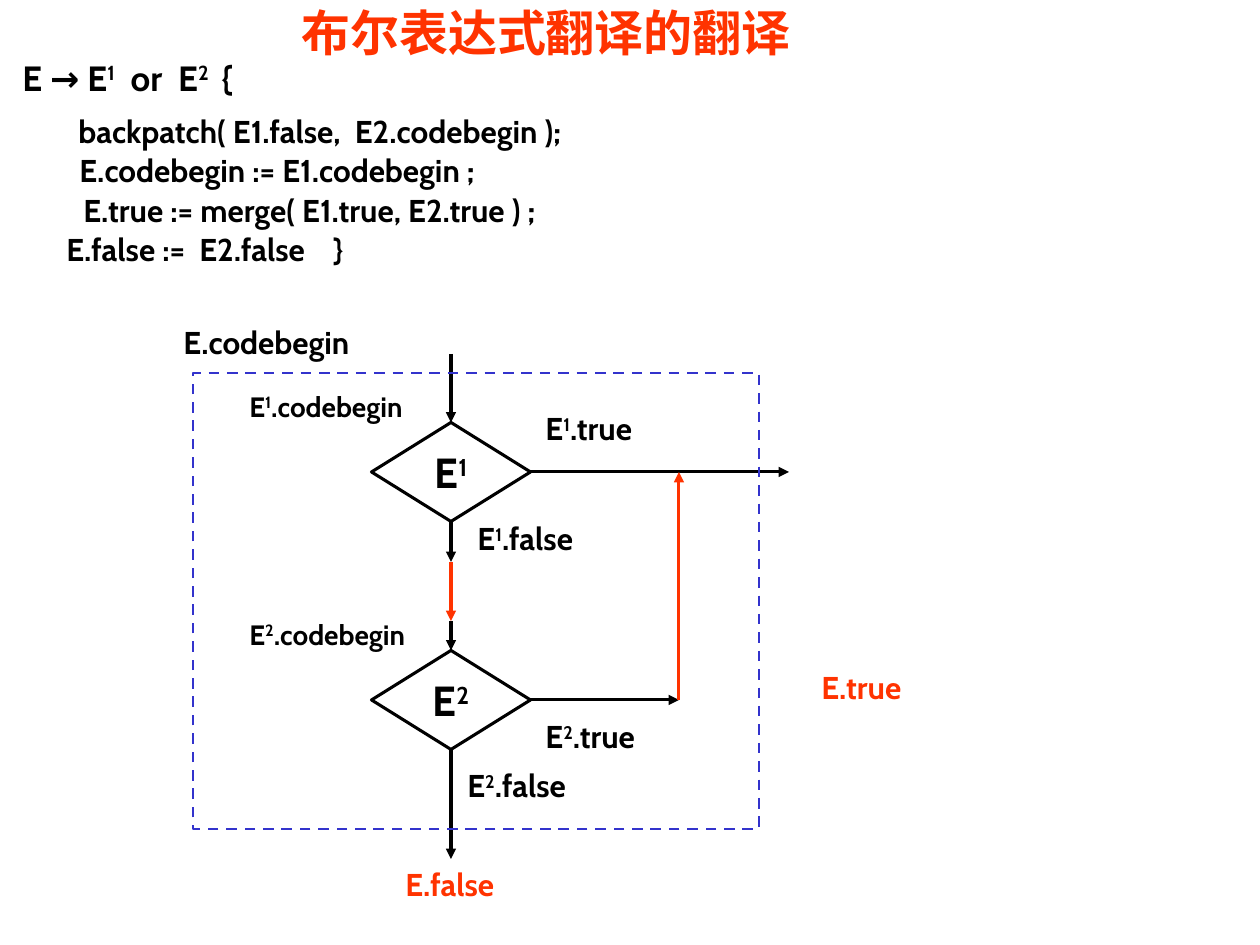
"""Builds a slide on translating the boolean expression E1 or E2."""
from pptx import Presentation
from pptx.dml.color import RGBColor as Rgb
from pptx.enum.dml import MSO_LINE as Dash
from pptx.enum.shapes import MSO_CONNECTOR as Conn, MSO_SHAPE as Kind
from pptx.enum.text import MSO_ANCHOR as Anchor, MSO_AUTO_SIZE as Fit, PP_ALIGN as Align
from pptx.oxml.ns import qn
from pptx.util import Pt
from lxml.etree import SubElement as Sub

THEME = {
    "ink": Rgb.from_string("000000"), "red": Rgb.from_string("FF3300"),
    "blue": Rgb.from_string("3333CC"), "font": "Cabin", "han": "Noto Sans CJK SC",
    "title": 28, "node": 24, "rule": 20, "text": 18, "note": 16,
    "line": 1.76, "dash": 1.5,
}
SCALE = 914400 // 126
SIZE = (1260, 945)
TITLE = ("布尔表达式翻译的翻译", (0, 0, 1092, 63))
RULE = ("E → E^1^  or  E^2 ^ {", (10, 55, 1086, 59))
CODE = [
    ("backpatch( E1.false,  E2.codebegin );", (66, 106, 588, 50)),
    ("E.codebegin := E1.codebegin ;", (67, 145, 483, 50)),
    ("E.true := merge( E1.true, E2.true ) ;", (71, 185, 561, 50)),
    ("E.false :=  E2.false\t}", (54, 224, 417, 50)),
    ("E.codebegin", (171, 317, 223, 50)),
]
BRACE = 267
EXITS = [("E.true", (809, 662, 118, 50)), ("E.false", (393, 859, 126, 50))]
FRAME = (193, 373, 566, 456)
MID, WIDE, HIGH = 451, 159, 99
JOIN = 679
STAGES = [
    {"name": "E^1", "y": 472, "enter": 354, "leave": 562, "end": 789,
     "true": (533, 403), "false": (465, 513)},
    {"name": "E^2", "y": 700, "enter": 621, "leave": 859, "end": JOIN,
     "true": (533, 711), "false": (455, 760)},
]


def px(*vals):
    return [round(val * SCALE) for val in vals]


def write(frame, text, size, hue="ink", font="font"):
    para = frame.paragraphs[0]
    for num, part in enumerate(text.split("^")):
        run = para.add_run()
        run.text = part
        run.font.name, run.font.size = THEME[font], Pt(THEME[size])
        run.font.bold, run.font.color.rgb = True, THEME[hue]
        props = run._r.get_or_add_rPr()
        Sub(props, qn("a:ea")).set("typeface", THEME["han"])
        if num % 2:
            props.set("baseline", "30000")
    return para


def label(home, text, box, size="text", hue="ink"):
    frame = home.add_textbox(*px(*box)).text_frame
    frame.word_wrap, frame.auto_size = False, Fit.SHAPE_TO_FIT_TEXT
    return write(frame, text, size, hue)


def arrow(home, start, end, hue="ink"):
    line = home.add_connector(Conn.STRAIGHT, *px(*start, *end))
    line.line.color.rgb, line.line.width = THEME[hue], Pt(THEME["line"])
    Sub(line.line._get_or_add_ln(), qn("a:tailEnd")).set("type", "triangle")
    Sub(line._element.spPr, qn("a:effectLst"))


def outline(home, kind, box, hue, width):
    shape = home.add_shape(kind, *px(*box))
    shape.shadow.inherit = False
    shape.fill.background()
    shape.line.color.rgb, shape.line.width = THEME[hue], Pt(THEME[width])
    return shape


def stage(home, name, y, enter, leave, end, true, false):
    top, low = y - HIGH / 2, y + HIGH / 2
    node = outline(home, Kind.DIAMOND, (MID - WIDE / 2, top, WIDE, HIGH), "ink", "line")
    frame = node.text_frame
    frame.word_wrap, frame.vertical_anchor = False, Anchor.MIDDLE
    write(frame, name, "node").alignment = Align.CENTER
    arrow(home, (MID, enter), (MID, top))
    arrow(home, (MID, low), (MID, leave))
    arrow(home, (MID + WIDE / 2, y), (end, y))
    label(home, name + "^.true", (*true, 130, 50))
    label(home, name + "^.false", (*false, 137, 50))
    label(home, name + "^.codebegin", (237, y - 89, 203, 47), "note")


deck = Presentation()
deck.slide_width, deck.slide_height = px(*SIZE)
slide = deck.slides.add_slide(deck.slide_layouts[5])
shapes = slide.shapes

title = shapes.title
title.left, title.top, title.width, title.height = px(*TITLE[1])
title.text_frame.vertical_anchor = Anchor.MIDDLE
title.text_frame.auto_size = Fit.NONE
write(title.text_frame, TITLE[0], "title", "red", "han").alignment = Align.CENTER

rule = label(shapes, *RULE, "rule")
rule.line_spacing, rule.space_before = 0.9, Pt(4)
for text, box in CODE:
    para = label(shapes, text, box)
    if "\t" in text:
        tabs = Sub(para._p.get_or_add_pPr(), qn("a:tabLst"))
        stop = Sub(tabs, qn("a:tab"))
        stop.set("pos", str(px(BRACE)[0]))
        stop.set("algn", "l")
for text, box in EXITS:
    label(shapes, text, box, hue="red")

for item in STAGES:
    stage(shapes.add_group_shape().shapes, **item)
first, second = STAGES
arrow(shapes, (MID, first["leave"]), (MID, second["enter"]), "red")
arrow(shapes, (JOIN, second["y"]), (JOIN, first["y"]), "red")
outline(shapes, Kind.RECTANGLE, FRAME, "blue", "dash").line.dash_style = Dash.DASH

deck.save("out.pptx")
